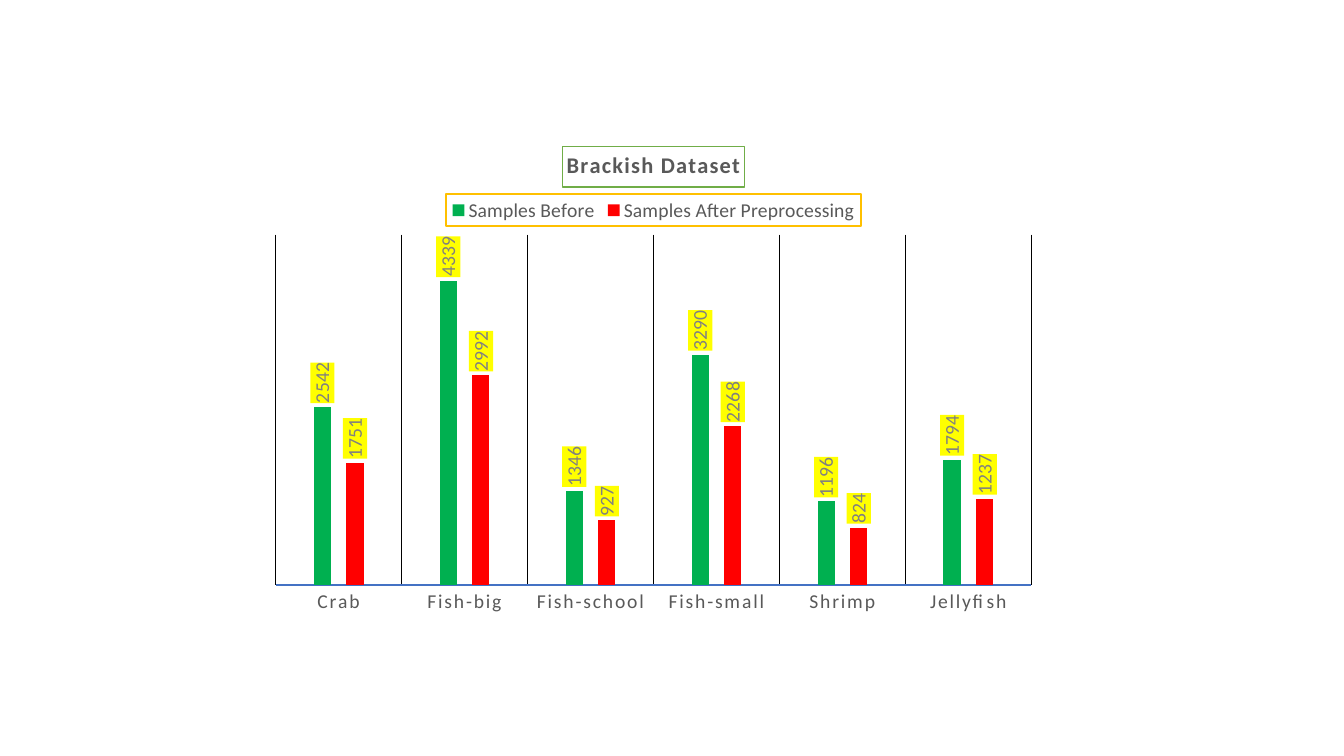
from lxml import etree
from pptx import Presentation
from pptx.chart.data import CategoryChartData
from pptx.dml.color import RGBColor
from pptx.enum.chart import (XL_CHART_TYPE, XL_LABEL_POSITION,
                             XL_LEGEND_POSITION, XL_TICK_MARK)
from pptx.oxml import parse_xml
from pptx.oxml.ns import nsdecls, qn
from pptx.util import Cm, Pt

GREEN = RGBColor(0x00, 0xB0, 0x50)
RED = RGBColor(0xFF, 0x00, 0x00)
YELLOW = RGBColor(0xFF, 0xFF, 0x00)
BLUE = RGBColor(0x44, 0x72, 0xC4)
GOLD = RGBColor(0xFF, 0xC0, 0x00)
LEAF = RGBColor(0x70, 0xAD, 0x47)
WHITE = RGBColor(0xFF, 0xFF, 0xFF)
BLACK = RGBColor(0x00, 0x00, 0x00)
DARK_GREY = RGBColor(0x59, 0x59, 0x59)
GREY = RGBColor(0x80, 0x80, 0x80)

CATEGORIES = ["Crab", "Fish-big", "Fish-school", "Fish-small", "Shrimp", "Jellyfish"]
SERIES = [
    ("Samples Before", GREEN, (2542, 4339, 1346, 3290, 1196, 1794)),
    ("Samples After Preprocessing", RED, (1751, 2992, 927, 2268, 824, 1237)),
]


class SlideBuilder:
    font_name = "Calibri"
    font_size = 14

    def __init__(self, slide):
        self.slide = slide

    def style_font(self, font, color, size=font_size, bold=False):
        font.name, font.size, font.bold = self.font_name, Pt(size), bold
        font.color.rgb = color

    def style_line(self, line, color, width):
        line.color.rgb, line.width = color, Pt(width)

    def add_box(self, part, fill, line=None):
        """Give a legend or a set of labels a filled, optionally outlined box."""
        outline = (f'<a:ln w="{Pt(1.5)}"><a:solidFill><a:srgbClr val="{line}"/>'
                   '</a:solidFill></a:ln>') if line else ""
        part.find(qn("c:txPr")).addprevious(parse_xml(
            f'<c:spPr {nsdecls("c", "a")}><a:solidFill><a:srgbClr val="{fill}"/>'
            f'</a:solidFill>{outline}</c:spPr>'))

    def add_column_chart(self, left, top, width, height):
        data = CategoryChartData()
        data.categories = CATEGORIES
        for name, _, values in SERIES:
            data.add_series(name, values)
        chart = self.slide.shapes.add_chart(
            XL_CHART_TYPE.COLUMN_CLUSTERED, left, top, width, height, data).chart
        self.style_font(chart.font, BLACK)
        plot = chart.plots[0]
        plot.gap_width, plot.overlap, plot.vary_by_categories = 444, -90, False
        for series, (_, color, _) in zip(plot.series, SERIES):
            series.format.fill.solid()
            series.format.fill.fore_color.rgb = color
            self.add_value_labels(series)
        return chart

    def add_value_labels(self, series):
        labels = series.data_labels
        labels.show_value = True
        labels.position = XL_LABEL_POSITION.OUTSIDE_END
        self.style_font(labels.font, GREY)
        self.add_box(labels._element, YELLOW)
        body = labels._element.find(qn("c:txPr")).find(qn("a:bodyPr"))
        body.set("rot", "-5400000")
        body.set("vert", "horz")

    def style_axes(self, chart):
        values = chart.value_axis
        values.minimum_scale, values.maximum_scale = 0, 5000
        values.has_major_gridlines = False
        values.visible = False
        axis = chart.category_axis
        axis.major_tick_mark = axis.minor_tick_mark = XL_TICK_MARK.NONE
        self.style_line(axis.format.line, BLUE, 1.5)
        axis.has_major_gridlines = True
        self.style_line(axis.major_gridlines.format.line, BLACK, 0.5)
        self.style_font(axis.tick_labels.font, DARK_GREY)
        next(axis._element.iter(qn("a:defRPr"))).set("spc", "120")

    def add_title(self, chart, text):
        title = chart.chart_title
        paragraph = title.text_frame.paragraphs[0]
        run = paragraph.add_run()
        run.text = text
        self.style_font(run.font, DARK_GREY, 16, True)
        run._r.get_or_add_rPr().set("spc", "100")
        title.format.fill.solid()
        title.format.fill.fore_color.rgb = WHITE
        self.style_line(title.format.line, LEAF, 1)

    def add_legend(self, chart):
        chart.has_legend = True
        legend = chart.legend
        legend.position = XL_LEGEND_POSITION.TOP
        legend.include_in_layout = False
        self.style_font(legend.font, DARK_GREY)
        self.add_box(legend._element, WHITE, GOLD)

    def place_plot(self, chart, **fractions):
        """Fix the inner plot area as fractions of the chart frame."""
        area = next(chart._chartSpace.iter(qn("c:plotArea")))
        for old in area.findall(qn("c:layout")):
            area.remove(old)
        layout = etree.Element(qn("c:layout"))
        manual = etree.SubElement(layout, qn("c:manualLayout"))
        settings = {"layoutTarget": "inner", "xMode": "edge", "yMode": "edge", **fractions}
        for tag, value in settings.items():
            etree.SubElement(manual, qn(f"c:{tag}")).set("val", str(value))
        area.insert(0, layout)


# Slide
prs = Presentation()
prs.slide_width, prs.slide_height = Cm(33.87), Cm(19.05)
builder = SlideBuilder(prs.slides.add_slide(prs.slide_layouts[6]))

# Sample counts per class
chart = builder.add_column_chart(Cm(6.55), Cm(3.3), Cm(19.84), Cm(12.45))
builder.style_axes(chart)
builder.add_title(chart, "Brackish Dataset")
builder.add_legend(chart)
builder.place_plot(chart, x=0.02, y=0.21, w=0.96, h=0.71)

prs.save("out.pptx")
